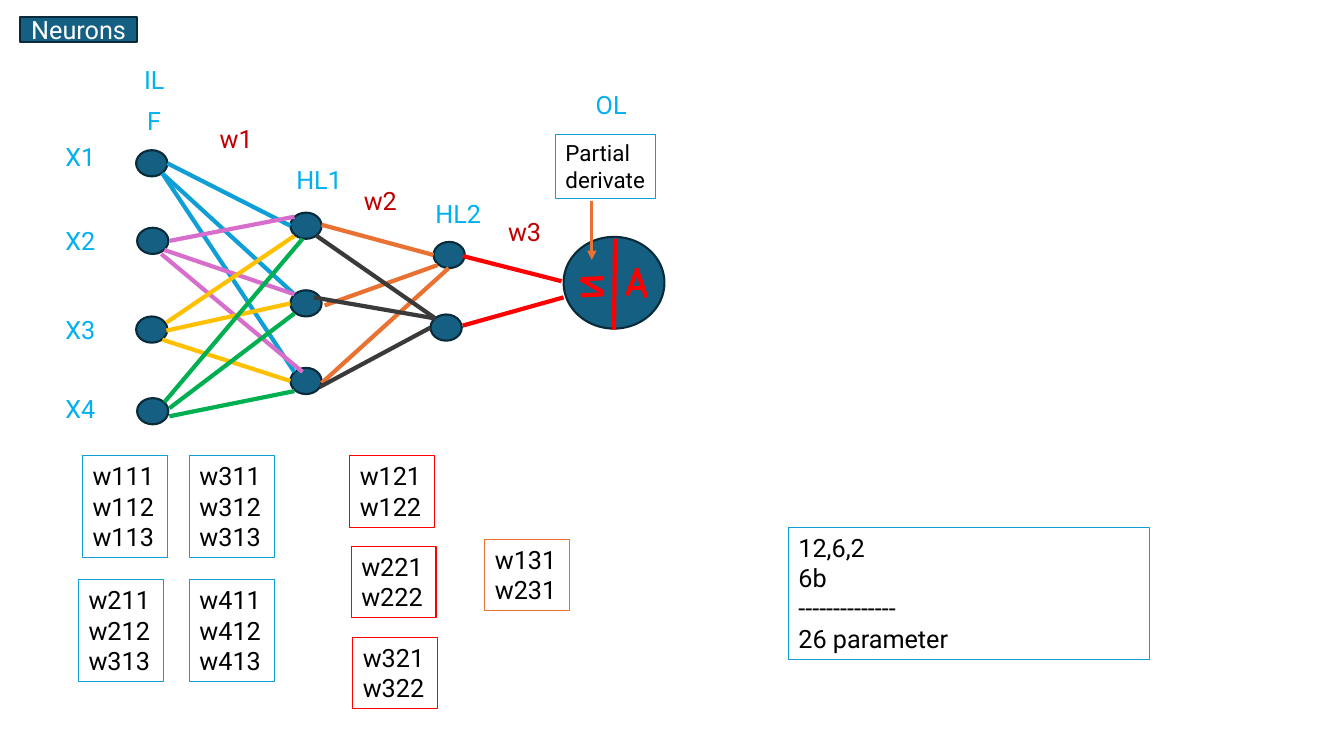
from dataclasses import dataclass

from lxml import etree
from pptx import Presentation
from pptx.dml.color import RGBColor
from pptx.enum.shapes import MSO_CONNECTOR, MSO_SHAPE
from pptx.enum.text import MSO_ANCHOR, MSO_AUTO_SIZE, PP_ALIGN
from pptx.oxml.ns import qn
from pptx.util import Inches, Pt

ELLIPSE, STRAIGHT = MSO_SHAPE.OVAL, MSO_CONNECTOR.STRAIGHT
LEFT, CENTER = PP_ALIGN.LEFT, PP_ALIGN.CENTER
TOP, MIDDLE = MSO_ANCHOR.TOP, MSO_ANCHOR.MIDDLE
NO_FIT = MSO_AUTO_SIZE.NONE


@dataclass(frozen=True)
class Theme:
    font: str = "Roboto"
    body: float = 18
    note: float = 16
    hairline: float = 0.75
    outline: float = 1.5
    arrow: float = 2.25
    link: float = 3
    neuron: str = "156082"
    edge: str = "092A39"
    blue: str = "0F9ED5"
    pink: str = "D86ECC"
    yellow: str = "FFC000"
    green: str = "00B050"
    orange: str = "E97132"
    gray: str = "3A3A3A"
    red: str = "FF0000"
    layer_label: str = "00B0F0"
    weight_label: str = "C00000"
    ink: str = "000000"
    white: str = "FFFFFF"


THEME = Theme()


@dataclass(frozen=True)
class Box:
    left: float
    top: float
    width: float
    height: float

    def inner(self, left, top, width, height):
        """Return a box placed relative to this one."""
        return Box(self.left + left, self.top + top, width, height)

    def lengths(self):
        return [Inches(v) for v in (self.left, self.top, self.width, self.height)]


def paint(shape, fill, line, width):
    shape.fill.solid()
    shape.fill.fore_color.rgb = RGBColor.from_string(fill)
    shape.line.color.rgb = RGBColor.from_string(line)
    shape.line.width = Pt(width)


def write(frame, text, size=THEME.body, color=THEME.ink, align=LEFT, anchor=TOP):
    """Fill a text frame, one paragraph for each line of text."""
    frame.word_wrap = True
    frame.auto_size = NO_FIT
    frame.vertical_anchor = anchor
    frame.text = text
    for para in frame.paragraphs:
        para.alignment = align
        for span in para.runs:
            span.font.name = THEME.font
            span.font.size = Pt(size)
            span.font.color.rgb = RGBColor.from_string(color)


def add_text(page, box, text, border=None, **style):
    shape = page.shapes.add_textbox(*box.lengths())
    write(shape.text_frame, text, **style)
    if border:
        shape.line.color.rgb = RGBColor.from_string(border)
        shape.line.width = Pt(THEME.hairline)


def add_ellipse(page, box):
    shape = page.shapes.add_shape(ELLIPSE, *box.lengths())
    shape.shadow.inherit = False
    paint(shape, THEME.neuron, THEME.edge, THEME.outline)


def add_line(page, box, ends, color, width=THEME.link, arrow=False):
    """Draw a line between two points given relative to the box."""
    x1, y1, x2, y2 = ends
    line = page.shapes.add_connector(
        STRAIGHT, Inches(box.left + x1), Inches(box.top + y1),
        Inches(box.left + x2), Inches(box.top + y2))
    line.line.color.rgb = RGBColor.from_string(color)
    line.line.width = Pt(width)
    properties = line._element.spPr
    if arrow:
        etree.SubElement(properties.find(qn("a:ln")), qn("a:tailEnd"), type="triangle")
    etree.SubElement(properties, qn("a:effectLst"))


def add_title(page, box):
    title = page.shapes.title
    title.left, title.top, title.width, title.height = box.lengths()
    geometry = etree.Element(qn("a:prstGeom"), prst="roundRect")
    etree.SubElement(geometry, qn("a:avLst"))
    title._element.spPr.insert(1, geometry)
    paint(title, THEME.neuron, THEME.edge, THEME.outline)
    frame = title.text_frame
    frame.margin_left = frame.margin_right = 0
    write(frame, "Neurons", color=THEME.white, align=CENTER, anchor=MIDDLE)
    frame.paragraphs[0].line_spacing = 1.0


NEURONS = [
    (0.35, 0.49), (0.36, 1.26), (0.35, 2.14), (0.36, 2.95),
    (1.88, 1.11), (1.88, 1.88), (1.88, 2.65),
    (3.3, 1.4), (3.27, 2.12),
]
LINKS = {
    THEME.blue: [(0.66, 0.62, 1.88, 1.24), (0.61, 0.72, 1.92, 1.92),
                 (0.61, 0.72, 1.92, 2.69)],
    THEME.pink: [(0.68, 1.39, 1.92, 1.15), (0.63, 1.48, 1.92, 1.92),
                 (0.6, 1.52, 2, 2.69)],
    THEME.yellow: [(0.65, 2.2, 1.92, 1.34), (0.65, 2.28, 1.88, 2.01),
                   (0.61, 2.37, 1.88, 2.78)],
    THEME.green: [(0.63, 2.99, 2, 1.37), (0.68, 3.05, 1.92, 2.11),
                  (0.68, 3.13, 1.92, 2.88)],
    THEME.orange: [(2.19, 1.23, 3.3, 1.53), (2.22, 2.03, 3.34, 1.63),
                   (2.19, 2.8, 3.45, 1.66)],
    THEME.gray: [(2.14, 1.34, 3.32, 2.16), (2.11, 1.95, 3.32, 2.16),
                 (2.17, 2.84, 3.27, 2.25)],
    THEME.red: [(3.59, 1.54, 4.57, 1.79), (3.59, 2.23, 4.59, 1.95)],
}
LABELS = {
    THEME.layer_label: [
        ("IL", 0.33, -0.41), ("F", 0.36, 0), ("X1", -0.45, 0.35),
        ("X2", -0.45, 1.19), ("X3", -0.45, 2.07), ("X4", -0.45, 2.85),
        ("HL1", 1.84, 0.58), ("HL2", 3.22, 0.92), ("OL", 4.81, -0.16)],
    THEME.weight_label: [("w1", 1.08, 0.17), ("w2", 2.51, 0.79), ("w3", 3.94, 1.1)],
}


def add_network(page, box):
    for left, top in NEURONS:
        add_ellipse(page, box.inner(left, top, 0.31, 0.26))
    for color, links in LINKS.items():
        for ends in links:
            add_line(page, box, ends, color)
    for color, labels in LABELS.items():
        for text, left, top in labels:
            add_text(page, box.inner(left, top, 0.69, 0.4), text, color=color)


OUTPUT_STROKES = [
    (0.51, 0.02, 0.5, 0.92),
    (0.17, 0.42, 0.39, 0.41), (0.17, 0.58, 0.39, 0.57), (0.17, 0.42, 0.39, 0.55),
    (0.72, 0.35, 0.63, 0.58), (0.72, 0.31, 0.82, 0.6), (0.67, 0.51, 0.82, 0.51),
]


def add_output_neuron(page, box):
    """Draw the output neuron, split into summation and activation halves."""
    add_ellipse(page, box)
    for ends in OUTPUT_STROKES:
        add_line(page, box, ends, THEME.red)


def add_derivative_note(page, box):
    add_text(page, box, "Partial\nderivate", border=THEME.blue, size=THEME.note)
    add_line(page, box, (0.36, 0.66, 0.36, 1.25), THEME.orange, THEME.arrow, arrow=True)


def add_card(page, box, lines, border):
    """Draw a bordered list whose height follows its number of lines."""
    height = 0.11 + 0.3 * len(lines)
    add_text(page, box.inner(0, 0, box.width, height), "\n".join(lines), border=border)


WEIGHT_COLUMNS = [
    (THEME.blue, 0.04, 0, -0.04, 1.23, ["w111 w112 w113", "w211 w212 w313"]),
    (THEME.blue, 1.1, 0, 0, 1.23, ["w311 w312 w313", "w411 w412 w413"]),
    (THEME.red, 2.69, 0, 0.015, 0.9, ["w121 w122", "w221 w222", "w321 w322"]),
    (THEME.orange, 4.03, 0.83, 0, 0, ["w131 w231"]),
]


def add_weights(page, box):
    for border, left, top, shift, pitch, groups in WEIGHT_COLUMNS:
        for row, names in enumerate(groups):
            card = box.inner(left + row * shift, top + row * pitch, 0.84, 0)
            add_card(page, card, names.split(), border)


def main():
    deck = Presentation()
    deck.slide_width, deck.slide_height = Inches(13.33), Inches(7.5)
    page = deck.slides.add_slide(deck.slide_layouts[5])
    add_title(page, Box(0.2, 0.17, 1.16, 0.25))
    add_network(page, Box(1, 1, 5.5, 3.25))
    add_output_neuron(page, Box(5.59, 2.35, 1, 0.91))
    add_derivative_note(page, Box(5.51, 1.33, 0.99, 0.64))
    add_weights(page, Box(0.78, 4.52, 4.87, 2.51))
    add_card(page, Box(7.82, 5.23, 3.58, 1.31),
             ["12,6,2", "6b", "--------------", "26 parameter"], THEME.blue)
    deck.save("out.pptx")


if __name__ == "__main__":
    main()
